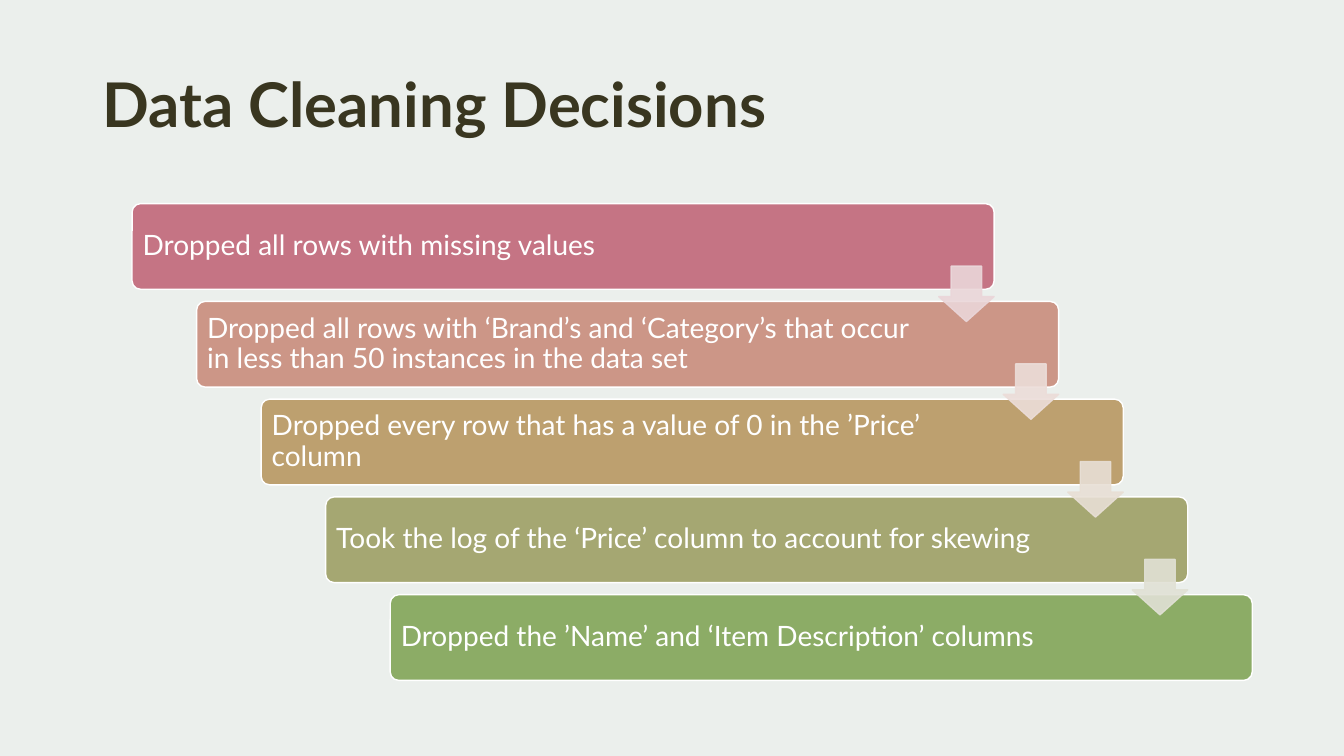
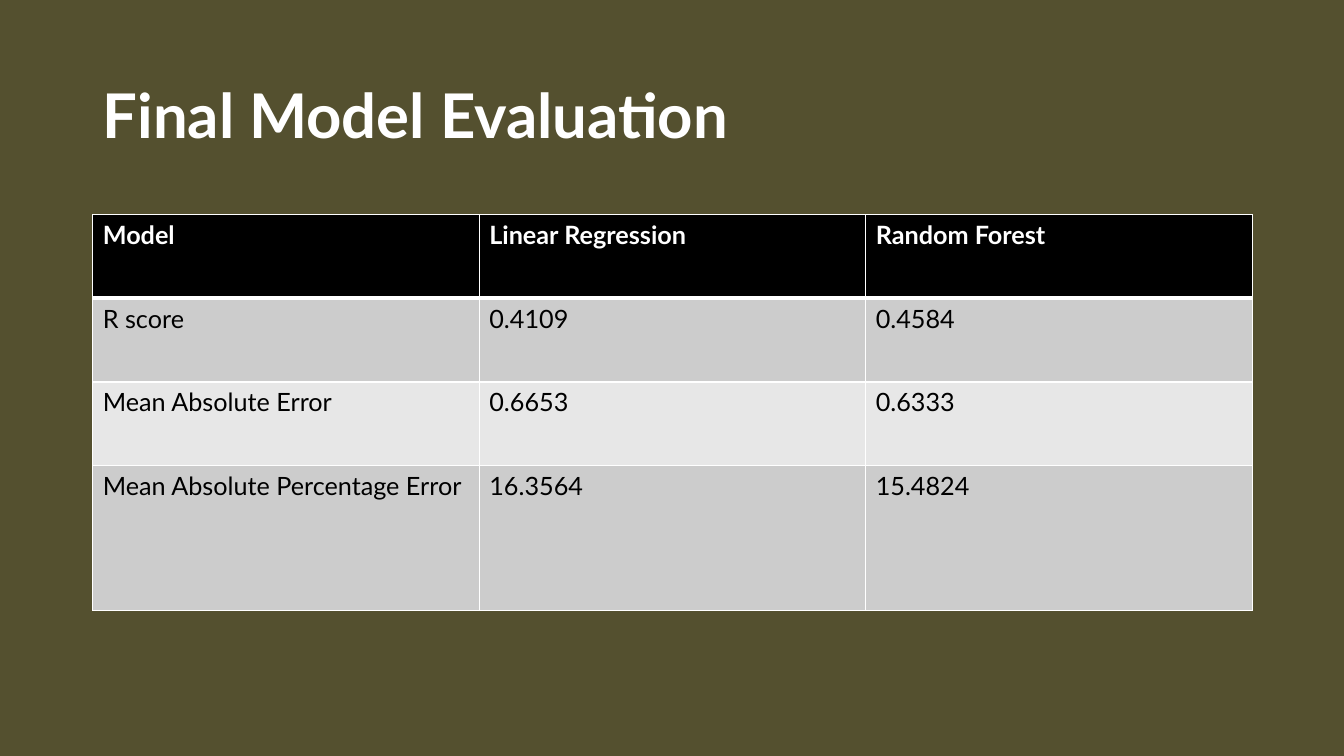
"""Build two slides: the data cleaning steps and the model evaluation table."""
from dataclasses import dataclass

from lxml import etree
from pptx import Presentation
from pptx import util as u
from pptx.dml.color import RGBColor
from pptx.enum import shapes, text
from pptx.oxml.ns import qn

FONT = "Lato"
COLOURS = {
    "mist": "EBEFEC",
    "olive": "54502F",
    "ink": "393620",
    "white": "FFFFFF",
    "black": "000000",
    "band_dark": "CCCCCC",
    "band_light": "E7E7E7",
    "rose": "C57484",
    "rose_pale": "EAD6D9",
    "clay": "CC9687",
    "clay_pale": "ECDDD9",
    "sand": "BDA06F",
    "sand_pale": "E8DFD5",
    "moss": "A5A772",
    "moss_pale": "E1E1D5",
    "leaf": "8CAC66",
}


@dataclass(frozen=True)
class Box:
    left: float
    top: float
    width: float
    height: float

    def lengths(self) -> tuple:
        return tuple(u.Inches(side) for side in (self.left, self.top, self.width, self.height))

    def shifted(self, across: float, down: float) -> "Box":
        return Box(self.left + across, self.top + down, self.width, self.height)


@dataclass(frozen=True)
class Step:
    wording: str
    colour: str
    arrow_colour: str | None = None


STEPS = (
    Step("Dropped all rows with missing values", "rose", "rose_pale"),
    Step(
        "Dropped all rows with ‘Brand’s and ‘Category’s that occur in less than 50 instances in the data set",
        "clay",
        "clay_pale",
    ),
    Step("Dropped every row that has a value of 0 in the ’Price’ column", "sand", "sand_pale"),
    Step("Took the log of the ‘Price’ column to account for skewing", "moss", "moss_pale"),
    Step("Dropped the ’Name’ and ‘Item Description’ columns", "leaf"),
)
FIRST_STEP = Box(1.31, 2.02, 8.55, 0.85)
FIRST_ARROW = Box(9.31, 2.64, 0.55, 0.55)
STEP_ACROSS, STEP_DOWN = 0.64, 0.97

SCORES = (
    ("Model", "Linear Regression", "Random Forest"),
    ("R score", "0.4109", "0.4584"),
    ("Mean Absolute Error", "0.6653", "0.6333"),
    ("Mean Absolute Percentage Error", "16.3564", "15.4824"),
)
TABLE = Box(0.92, 2.13, 11.5, 3.94)
ROW_HEIGHTS = (0.83, 0.83, 0.83, 1.44)
ROW_COLOURS = ("black", "band_dark", "band_light", "band_dark")


def rgb(name: str) -> RGBColor:
    return RGBColor.from_string(COLOURS[name])


def add_run(paragraph, wording: str, size: int, colour: str, bold: bool = False) -> None:
    run = paragraph.add_run()
    run.text = wording
    run.font.name = FONT
    run.font.size = u.Pt(size)
    run.font.bold = bold
    run.font.color.rgb = rgb(colour)


def add_titled_slide(presentation, background: str, title: str, box: Box, colour: str, anchor):
    slide = presentation.slides.add_slide(presentation.slide_layouts[6])
    slide.background.fill.solid()
    slide.background.fill.fore_color.rgb = rgb(background)
    frame = slide.shapes.add_textbox(*box.lengths()).text_frame
    frame.word_wrap = True
    frame.vertical_anchor = anchor
    add_run(frame.paragraphs[0], title, 44, colour, bold=True)
    return slide


def add_filled_shape(slide, kind, box: Box, adjustments: tuple, fill: str, line: str):
    shape = slide.shapes.add_shape(kind, *box.lengths())
    for index, adjustment in enumerate(adjustments):
        shape.adjustments[index] = adjustment
    shape.shadow.inherit = False
    shape.fill.solid()
    shape.fill.fore_color.rgb = rgb(fill)
    shape.line.color.rgb = rgb(line)
    shape.line.width = u.Pt(1)
    return shape


def add_step(slide, step: Step, box: Box) -> None:
    shape = add_filled_shape(
        slide, shapes.MSO_SHAPE.ROUNDED_RECTANGLE, box, (0.1,), step.colour, "white"
    )
    frame = shape.text_frame
    frame.word_wrap = True
    frame.vertical_anchor = text.MSO_ANCHOR.MIDDLE
    frame.margin_left = frame.margin_top = frame.margin_bottom = u.Inches(0.08)
    frame.margin_right = u.Inches(1.28)
    paragraph = frame.paragraphs[0]
    paragraph.alignment = text.PP_ALIGN.LEFT
    paragraph.line_spacing = 0.9
    add_run(paragraph, step.wording, 20, "white")


def add_arrow(slide, colour: str, box: Box) -> None:
    arrow = add_filled_shape(
        slide, shapes.MSO_SHAPE.DOWN_ARROW, box, (0.55, 0.45), colour, colour
    )
    for paint in arrow.element.spPr.iter(qn("a:srgbClr")):
        etree.SubElement(paint, qn("a:alpha"), val="90000")


def set_border(cell, side: str, points: int) -> None:
    properties = cell._tc.get_or_add_tcPr()
    line = etree.SubElement(properties, qn(f"a:ln{side}"), w=str(u.Pt(points)))
    fill = etree.SubElement(line, qn("a:solidFill"))
    etree.SubElement(fill, qn("a:srgbClr"), val=COLOURS["white"])


def add_score_table(slide) -> None:
    table = slide.shapes.add_table(len(SCORES), len(SCORES[0]), *TABLE.lengths()).table
    table.horz_banding = False
    for column in table.columns:
        column.width = u.Inches(TABLE.width / len(SCORES[0]))
    for row_index, values in enumerate(SCORES):
        header = row_index == 0
        table.rows[row_index].height = u.Inches(ROW_HEIGHTS[row_index])
        widths = {"L": 1, "R": 1, "T": 3 if row_index == 1 else 1, "B": 3 if header else 1}
        for column_index, value in enumerate(values):
            cell = table.cell(row_index, column_index)
            for side, points in widths.items():
                set_border(cell, side, points)
            cell.fill.solid()
            cell.fill.fore_color.rgb = rgb(ROW_COLOURS[row_index])
            colour = "white" if header else "black"
            add_run(cell.text_frame.paragraphs[0], value, 18, colour, bold=header)


def build_cleaning_slide(presentation) -> None:
    slide = add_titled_slide(
        presentation, "mist", "Data Cleaning Decisions",
        Box(0.92, 0.61, 11.32, 1.4), "ink", text.MSO_ANCHOR.TOP,
    )
    for index, step in enumerate(STEPS):
        add_step(slide, step, FIRST_STEP.shifted(index * STEP_ACROSS, index * STEP_DOWN))
    for index, step in enumerate(STEPS):
        if step.arrow_colour:
            box = FIRST_ARROW.shifted(index * STEP_ACROSS, index * STEP_DOWN)
            add_arrow(slide, step.arrow_colour, box)


def build_evaluation_slide(presentation) -> None:
    slide = add_titled_slide(
        presentation, "olive", "Final Model Evaluation",
        Box(0.92, 0.4, 11.5, 1.45), "white", text.MSO_ANCHOR.MIDDLE,
    )
    add_score_table(slide)


def main() -> None:
    presentation = Presentation()
    presentation.slide_width = u.Inches(13.33)
    presentation.slide_height = u.Inches(7.5)
    build_cleaning_slide(presentation)
    build_evaluation_slide(presentation)
    presentation.save("out.pptx")


if __name__ == "__main__":
    main()
